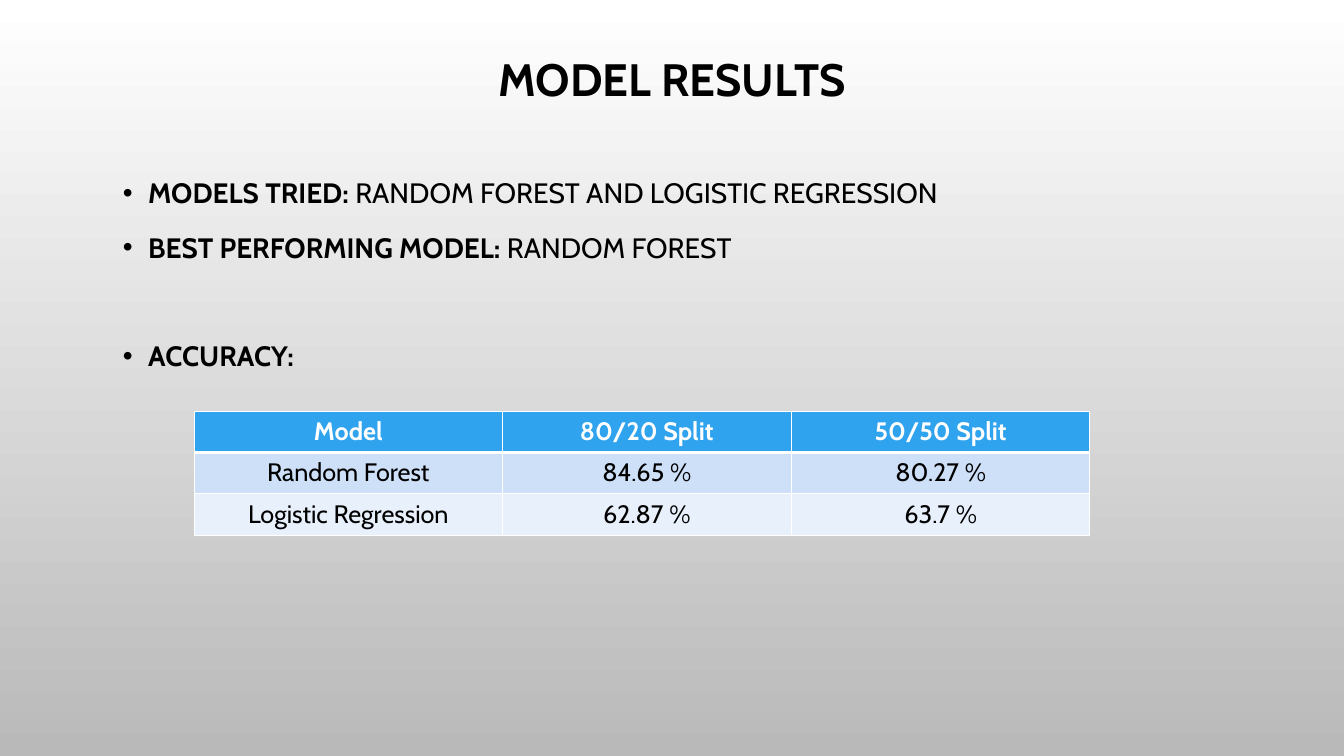
from lxml.etree import SubElement
from pptx import Presentation
from pptx.dml.color import RGBColor
from pptx.enum.text import MSO_ANCHOR, PP_ALIGN
from pptx.oxml.ns import qn
from pptx.util import Inches, Pt

# Content
TITLE = "MODEL RESULTS"
POINTS = [  # label, detail, space before in points
    ("MODELS TRIED:", " RANDOM FOREST AND LOGISTIC REGRESSION", 10),
    ("BEST PERFORMING MODEL:", " RANDOM FOREST", 10),
    ("ACCURACY:", "", 48.8),
]
ACCURACY = [
    ("Model", "80/20 Split", "50/50 Split"),
    ("Random Forest", "84.65 %", "80.27 %"),
    ("Logistic Regression", "62.87 %", "63.7 %"),
]
COLUMN_WIDTHS = (3.05, 2.87, 2.96)
ROW_HEIGHT = 0.41

# Style
FONT = "Cabin"
BLACK = RGBColor(0x00, 0x00, 0x00)
WHITE = RGBColor(0xFF, 0xFF, 0xFF)
GREY = RGBColor(0xB9, 0xB9, 0xB9)
ROW_FILLS = (
    RGBColor(0x2F, 0xA3, 0xEE),
    RGBColor(0xCD, 0xE0, 0xF8),
    RGBColor(0xE8, 0xF0, 0xFC),
)


def style(span, size, color, bold):
    span.font.name = FONT
    span.font.size = Pt(size)
    span.font.color.rgb = color
    span.font.bold = bold


def add_text_box(page, left, top, width, height, anchor):
    box = page.shapes.add_textbox(*map(Inches, (left, top, width, height)))
    frame = box.text_frame
    frame.word_wrap = True
    frame.vertical_anchor = anchor
    return frame


def add_bullet(para):
    properties = para._p.get_or_add_pPr()
    properties.set("marL", str(Inches(0.25)))
    properties.set("indent", str(Inches(-0.25)))
    color = SubElement(properties, qn("a:buClr"))
    SubElement(color, qn("a:srgbClr"), val=str(BLACK))
    SubElement(properties, qn("a:buFont"), typeface="Arial")
    SubElement(properties, qn("a:buChar"), char="•")


def add_borders(cell, top, bottom):
    properties = cell._tc.get_or_add_tcPr()
    for side, width in (("L", 1), ("R", 1), ("T", top), ("B", bottom)):
        line = SubElement(properties, qn(f"a:ln{side}"), w=str(Pt(width)))
        fill = SubElement(line, qn("a:solidFill"))
        SubElement(fill, qn("a:srgbClr"), val=str(WHITE))


deck = Presentation()
deck.slide_width, deck.slide_height = Inches(13.33), Inches(7.5)
page = deck.slides.add_slide(deck.slide_layouts[6])

# Background, white at the top to grey at the bottom
background = page.background.fill
background.gradient()
background.gradient_angle = 270
for stop, color in zip(background.gradient_stops, (WHITE, GREY)):
    stop.color.rgb = color

# Title
frame = add_text_box(page, 1, 0.4, 11.33, 0.83, MSO_ANCHOR.MIDDLE)
frame.text = TITLE
para = frame.paragraphs[0]
para.alignment = PP_ALIGN.CENTER
para.line_spacing = 0.9
style(para.runs[0], 32.4, BLACK, True)

# Bullet points
frame = add_text_box(page, 1.12, 1.63, 11.33, 3.74, MSO_ANCHOR.TOP)
for index, (label, detail, gap) in enumerate(POINTS):
    para = frame.add_paragraph() if index else frame.paragraphs[0]
    para.line_spacing = 1.2
    para.space_before = Pt(gap)
    add_bullet(para)
    for text, bold in ((label, True), (detail, False)):
        if text:
            span = para.add_run()
            span.text = text
            style(span, 20, BLACK, bold)

# Accuracy table
table = page.shapes.add_table(
    len(ACCURACY), len(COLUMN_WIDTHS), Inches(1.93), Inches(4.08),
    Inches(sum(COLUMN_WIDTHS)), Inches(ROW_HEIGHT * len(ACCURACY)),
).table
for column, width in zip(table.columns, COLUMN_WIDTHS):
    column.width = Inches(width)
for r, values in enumerate(ACCURACY):
    table.rows[r].height = Inches(ROW_HEIGHT)
    header = r == 0
    for c, value in enumerate(values):
        cell = table.cell(r, c)
        add_borders(cell, top=3 if r == 1 else 1, bottom=3 if header else 1)
        cell.fill.solid()
        cell.fill.fore_color.rgb = ROW_FILLS[r]
        cell.text_frame.text = value
        para = cell.text_frame.paragraphs[0]
        para.alignment = PP_ALIGN.CENTER
        style(para.runs[0], 18, WHITE if header else BLACK, header)

deck.save("out.pptx")
